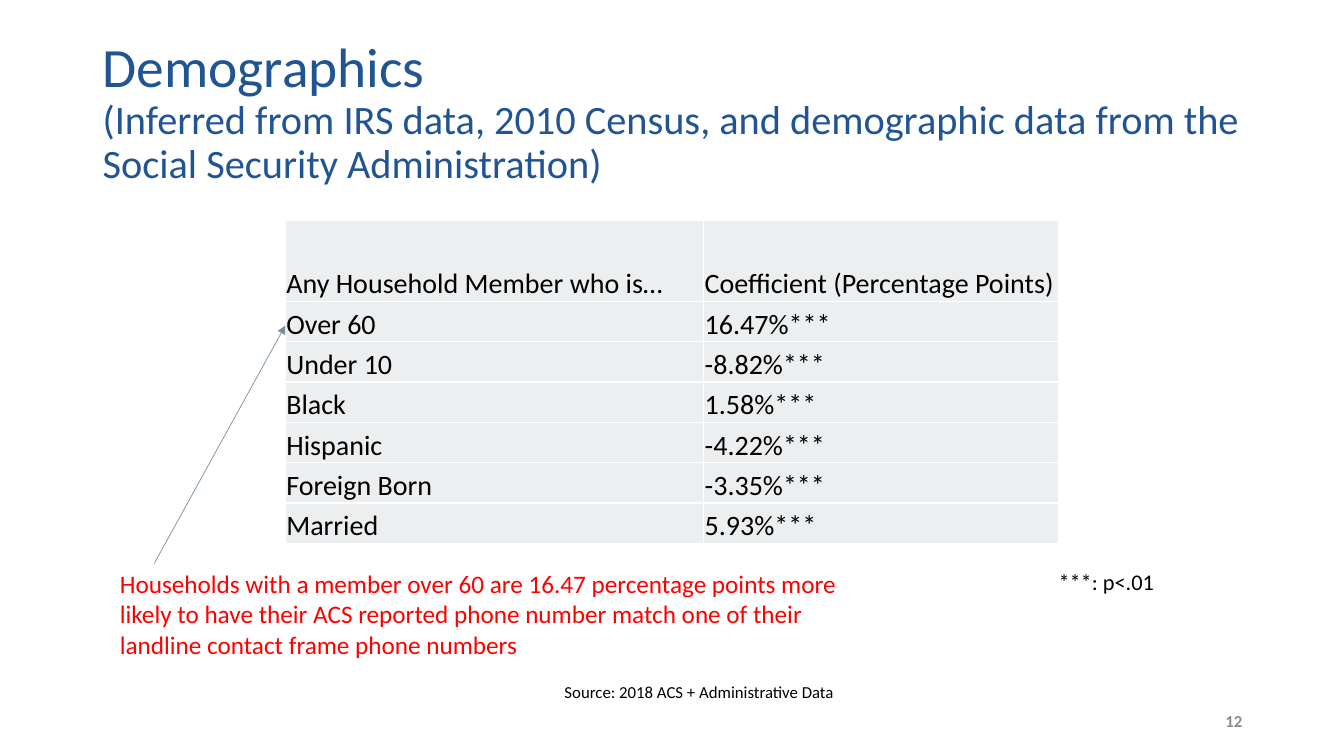
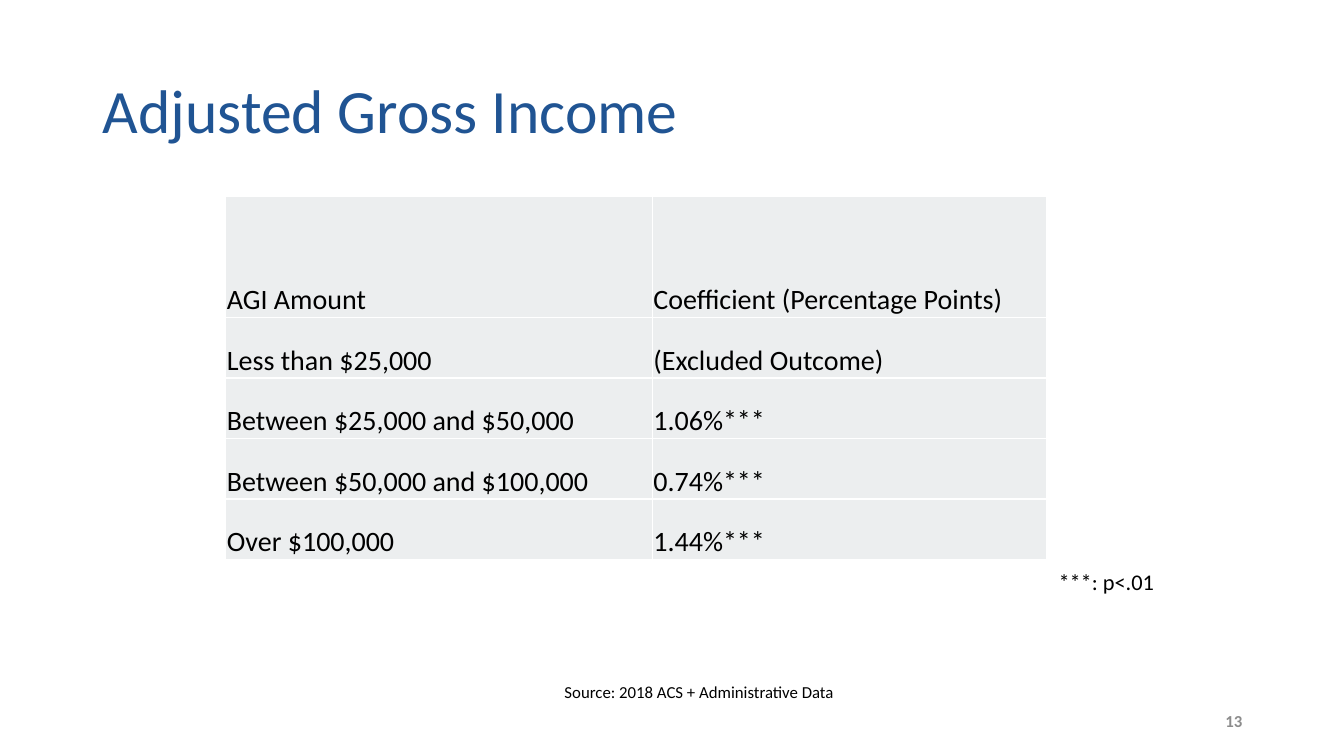
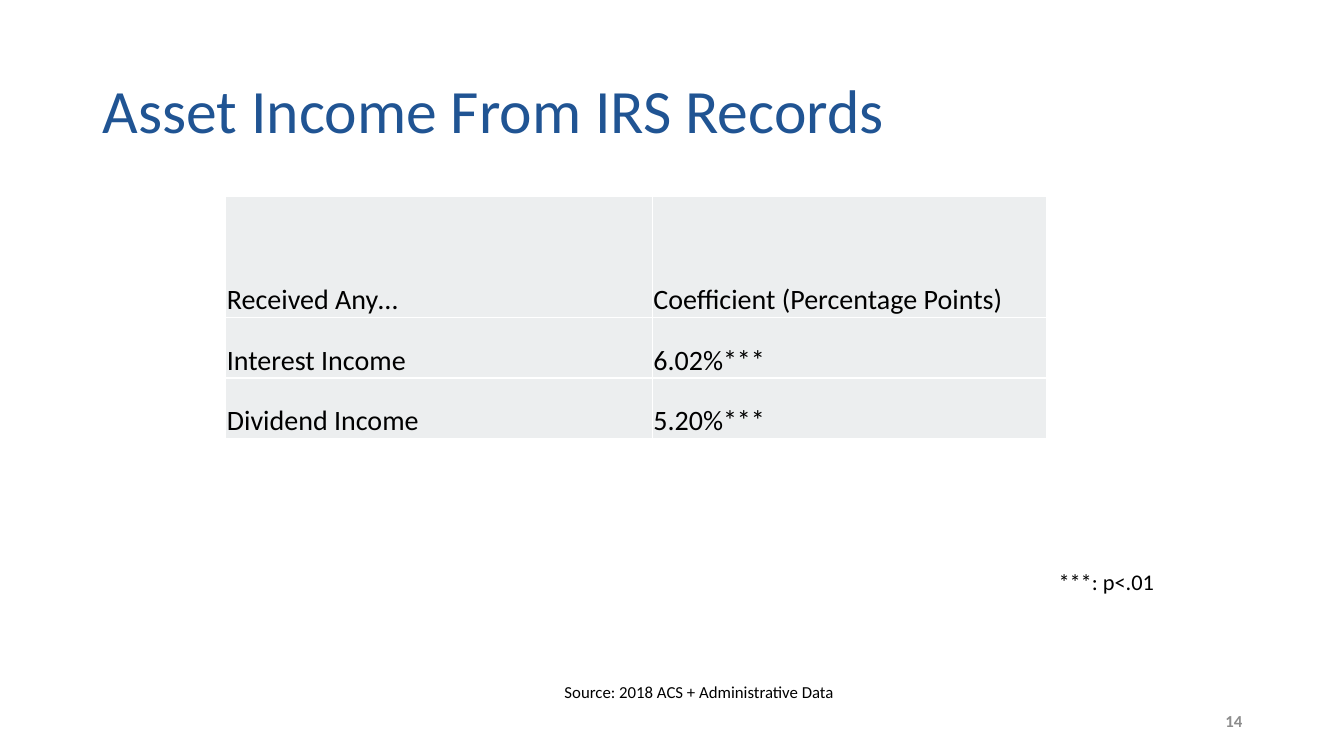
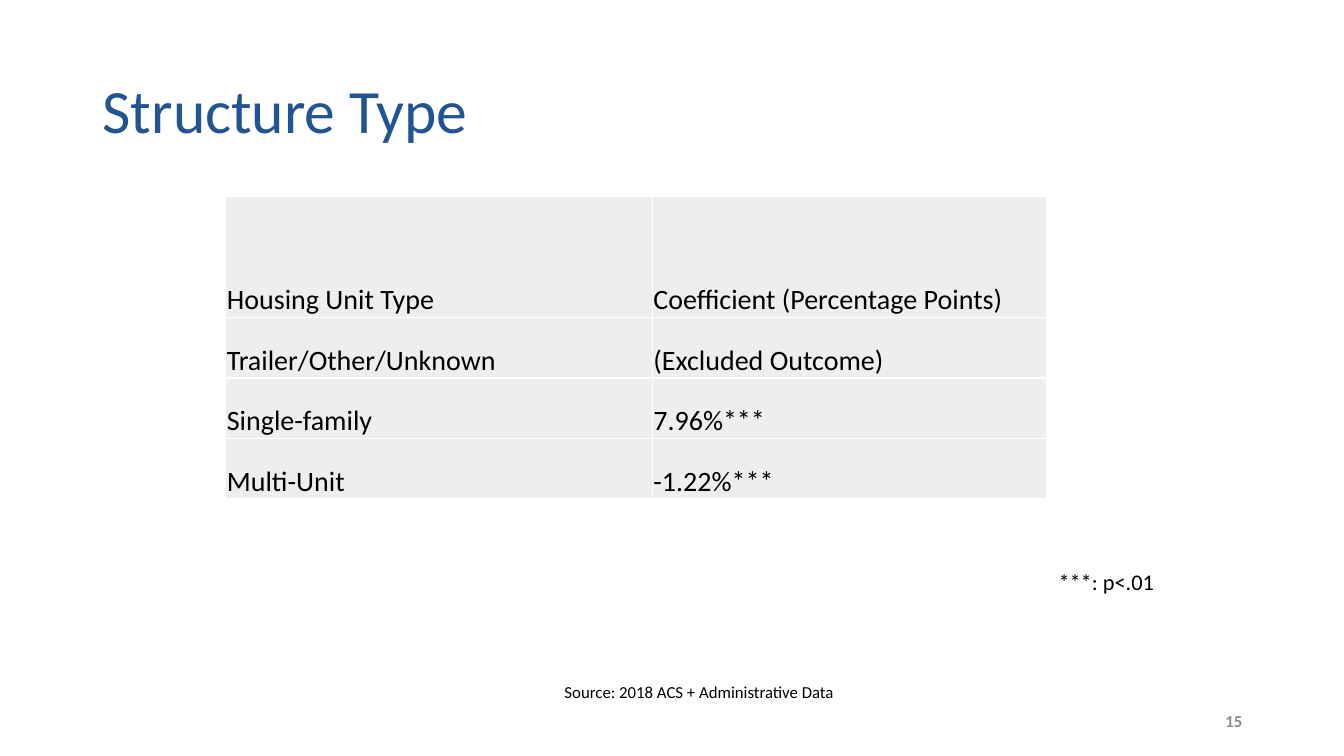
from dataclasses import dataclass

from lxml.etree import SubElement
from pptx import Presentation
from pptx.dml.color import RGBColor
from pptx.enum.shapes import MSO_CONNECTOR
from pptx.enum.text import MSO_ANCHOR, MSO_AUTO_SIZE, PP_ALIGN
from pptx.oxml.ns import qn
from pptx.slide import Slide
from pptx.table import _Cell
from pptx.util import Emu, Pt

# Shared look: 100 px to the inch
EMU_PER_PX = 9144
FONT = "Calibri"
BLUE, BLACK, RED, GREY = "205493", "000000", "FF0000", "8C8C8C"
CELL_FILL, CELL_BORDER, ARROW = "ECEEEF", "FFFFFF", "78909C"
COEFFICIENT = "Coefficient (Percentage Points)"
EXCLUDED = "(Excluded Outcome)"


@dataclass(frozen=True)
class Line:
    text: str
    size: float


@dataclass(frozen=True)
class Box:
    left: int
    top: int
    width: int
    height: int


@dataclass(frozen=True)
class Grid:
    left: int
    top: int
    columns: tuple[int, int]
    row_height: int  # the header row is twice as high


@dataclass(frozen=True)
class Topic:
    title: tuple[Line, ...]
    grid: Grid
    rows: tuple[tuple[str, str], ...]


TITLE_BOX = Box(92, 40, 1150, 145)
NUMBER_BOX = Box(942, 695, 300, 40)
SOURCE_BOX = Box(550, 671, 442, 30)
SIGNIFICANCE_BOX = Box(1040, 559, 202, 37)
FINDING_BOX = Box(109, 559, 778, 101)

WIDE_GRID = Grid(224, 195, (423, 391), 60)
FIRST_NUMBER = 12
TOPICS = (
    Topic(
        (
            Line("Demographics", 39.6),
            Line("(Inferred from IRS data, 2010 Census, and demographic data "
                 "from the Social Security Administration)", 28.8),
        ),
        Grid(283, 219, (415, 352), 40),
        (
            ("Any Household Member who is…", COEFFICIENT),
            ("Over 60", "16.47%***"),
            ("Under 10", "-8.82%***"),
            ("Black", "1.58%***"),
            ("Hispanic", "-4.22%***"),
            ("Foreign Born", "-3.35%***"),
            ("Married", "5.93%***"),
        ),
    ),
    Topic(
        (Line("Adjusted Gross Income", 44),),
        WIDE_GRID,
        (
            ("AGI Amount", COEFFICIENT),
            ("Less than $25,000", EXCLUDED),
            ("Between $25,000 and $50,000", "1.06%***"),
            ("Between $50,000 and $100,000", "0.74%***"),
            ("Over $100,000", "1.44%***"),
        ),
    ),
    Topic(
        (Line("Asset Income From IRS Records", 44),),
        WIDE_GRID,
        (
            ("Received Any…", COEFFICIENT),
            ("Interest Income", "6.02%***"),
            ("Dividend Income", "5.20%***"),
        ),
    ),
    Topic(
        (Line("Structure Type", 44),),
        WIDE_GRID,
        (
            ("Housing Unit Type", COEFFICIENT),
            ("Trailer/Other/Unknown", EXCLUDED),
            ("Single-family", "7.96%***"),
            ("Multi-Unit", "-1.22%***"),
        ),
    ),
)


def px(length: int) -> Emu:
    return Emu(length * EMU_PER_PX)


def rgb(value: str) -> RGBColor:
    return RGBColor.from_string(value)


def add_run(paragraph, line: Line, color: str, bold: bool = False) -> None:
    run = paragraph.add_run()
    run.text = line.text
    run.font.name = FONT
    run.font.size = Pt(line.size)
    run.font.bold = bold
    run.font.color.rgb = rgb(color)


def add_text(slide: Slide, box: Box, lines: tuple[Line, ...], color: str,
             bold: bool = False, centred: bool = False,
             align: PP_ALIGN = PP_ALIGN.LEFT, spacing: float = 1.0) -> None:
    """Write one paragraph, with a line break between its lines."""
    frame = slide.shapes.add_textbox(
        px(box.left), px(box.top), px(box.width), px(box.height)).text_frame
    frame.word_wrap = True
    if centred:
        frame.vertical_anchor = MSO_ANCHOR.MIDDLE
    else:
        frame.auto_size = MSO_AUTO_SIZE.SHAPE_TO_FIT_TEXT
    paragraph = frame.paragraphs[0]
    paragraph.alignment = align
    paragraph.line_spacing = spacing
    for index, line in enumerate(lines):
        if index:
            paragraph.add_line_break()
        add_run(paragraph, line, color, bold)


def fill_cell(cell: _Cell, text: str) -> None:
    cell.vertical_anchor = MSO_ANCHOR.BOTTOM
    cell.margin_left = cell.margin_right = cell.margin_top = px(1)
    cell.margin_bottom = 0
    # Borders come before the fill in the cell properties
    properties = cell._tc.get_or_add_tcPr()
    for side in ("a:lnL", "a:lnR", "a:lnT", "a:lnB"):
        border = SubElement(properties, qn(side), w=str(Pt(1)))
        solid = SubElement(border, qn("a:solidFill"))
        SubElement(solid, qn("a:srgbClr"), val=CELL_BORDER)
    cell.fill.solid()
    cell.fill.fore_color.rgb = rgb(CELL_FILL)
    add_run(cell.text_frame.paragraphs[0], Line(text, 20), BLACK)


def add_coefficients(slide: Slide, grid: Grid,
                     rows: tuple[tuple[str, str], ...]) -> None:
    heights = [2 * grid.row_height] + [grid.row_height] * (len(rows) - 1)
    table = slide.shapes.add_table(
        len(rows), len(grid.columns), px(grid.left), px(grid.top),
        px(sum(grid.columns)), px(sum(heights))).table
    table.first_row = table.horz_banding = False
    for column, width in zip(table.columns, grid.columns):
        column.width = px(width)
    for row, height, texts in zip(table.rows, heights, rows):
        row.height = px(height)
        for cell, text in zip(row.cells, texts):
            fill_cell(cell, text)


def add_finding(slide: Slide, grid: Grid) -> None:
    """Explain the first data row and point an arrow at it."""
    finding = ("Households with a member over 60 are 16.47 percentage points "
               "more likely to have their ACS reported phone number match one "
               "of their landline contact frame phone numbers")
    add_text(slide, FINDING_BOX, (Line(finding, 18),), RED)
    row_middle = grid.top + 5 * grid.row_height // 2
    arrow = slide.shapes.add_connector(
        MSO_CONNECTOR.STRAIGHT, px(153), px(FINDING_BOX.top),
        px(grid.left), px(row_middle + 4))
    arrow.line.color.rgb = rgb(ARROW)
    arrow.line.width = Pt(0.5)
    SubElement(arrow.line._get_or_add_ln(), qn("a:tailEnd"), type="triangle")
    SubElement(arrow._element.spPr, qn("a:effectLst"))


def add_footers(slide: Slide, number: int) -> None:
    add_text(slide, NUMBER_BOX, (Line(str(number), 12),), GREY, bold=True,
             centred=True, align=PP_ALIGN.RIGHT)
    add_text(slide, SOURCE_BOX,
             (Line("Source: 2018 ACS + Administrative Data", 12),), BLACK)
    add_text(slide, SIGNIFICANCE_BOX, (Line("***: p<.01", 16),), BLACK)


def main() -> None:
    deck = Presentation()
    deck.slide_width, deck.slide_height = px(1333), px(750)
    blank = deck.slide_layouts[6]
    for number, topic in enumerate(TOPICS, FIRST_NUMBER):
        slide = deck.slides.add_slide(blank)
        add_text(slide, TITLE_BOX, topic.title, BLUE, centred=True, spacing=0.9)
        add_coefficients(slide, topic.grid, topic.rows)
        if number == FIRST_NUMBER:
            add_finding(slide, topic.grid)
        add_footers(slide, number)
    deck.save("out.pptx")


if __name__ == "__main__":
    main()
